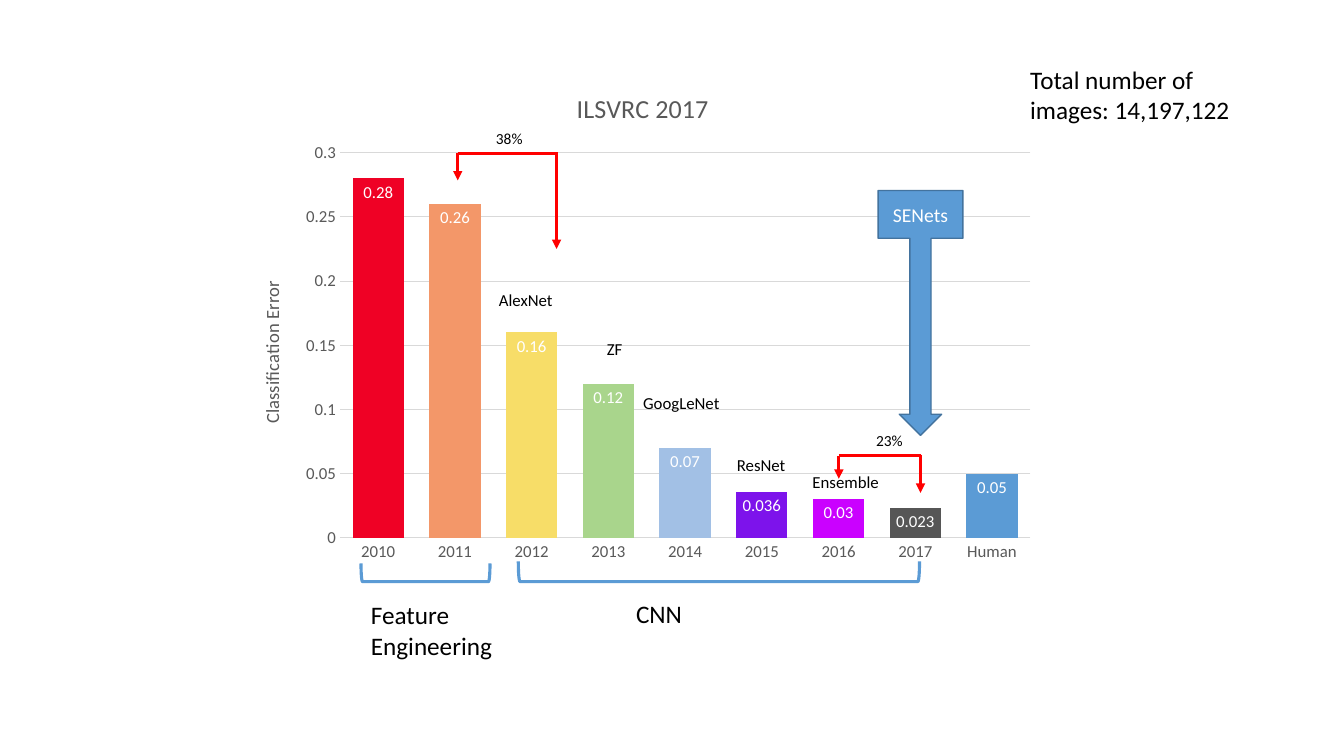
from lxml.etree import SubElement
from pptx import Presentation
from pptx.chart.data import CategoryChartData
from pptx.dml.color import RGBColor
from pptx.enum.chart import XL_CHART_TYPE, XL_LABEL_POSITION, XL_TICK_MARK
from pptx.enum.shapes import MSO_CONNECTOR, MSO_SHAPE
from pptx.enum.text import MSO_ANCHOR, PP_ALIGN
from pptx.oxml import parse_xml
from pptx.oxml.ns import nsdecls, qn
from pptx.util import Pt

PX = 9144
BLUE, GREY, GRID, RED = "5B9BD5", "595959", "D9D9D9", "FF0000"


def color(value):
    return RGBColor.from_string(value)


def add_run(paragraph, text, size, fill):
    run = paragraph.add_run()
    run.text = text
    run.font.name = "Calibri"
    run.font.size = Pt(size)
    run.font.bold = False
    run.font.color.rgb = color(fill)


presentation = Presentation()
presentation.slide_width = 1333 * PX
presentation.slide_height = 750 * PX
slide = presentation.slides.add_slide(presentation.slide_layouts[6])

bars = [
    ("2010", 0.28, "EF0125"),
    ("2011", 0.26, "F39769"),
    ("2012", 0.16, "F7DD68"),
    ("2013", 0.12, "A9D58C"),
    ("2014", 0.07, "A2C0E5"),
    ("2015", 0.036, "7D13EB"),
    ("2016", 0.03, "CA01FF"),
    ("2017", 0.023, "565656"),
    ("Human", 0.05, BLUE),
]
chart_data = CategoryChartData()
chart_data.categories = [year for year, error, fill in bars]
chart_data.add_series("Series 1", [error for year, error, fill in bars])
chart = slide.shapes.add_chart(
    XL_CHART_TYPE.COLUMN_CLUSTERED, 237 * PX, 70 * PX, 801 * PX, 498 * PX, chart_data
).chart
chart.has_legend = False
chart.font.name = "Calibri"
chart.font.size = Pt(12)
chart.font.color.rgb = color(GREY)
chart.has_title = True
add_run(chart.chart_title.text_frame.paragraphs[0], "ILSVRC 2017", 18.6, GREY)

category_axis, value_axis = chart.category_axis, chart.value_axis
for axis in (category_axis, value_axis):
    axis.major_tick_mark = axis.minor_tick_mark = XL_TICK_MARK.NONE
category_axis.format.line.color.rgb = color(GRID)
category_axis.format.line.width = Pt(0.75)
value_axis.minimum_scale = 0
value_axis.maximum_scale = 0.3
value_axis.major_unit = 0.05
value_axis.format.line.fill.background()
value_axis.major_gridlines.format.line.color.rgb = color(GRID)
value_axis.major_gridlines.format.line.width = Pt(0.75)
value_axis.has_title = True
add_run(value_axis.axis_title.text_frame.paragraphs[0], "Classification Error", 13.3, GREY)

plot = chart.plots[0]
plot.gap_width = 50
plot.overlap = -27
plot.vary_by_categories = False
series = plot.series[0]
series.format.fill.solid()
series.format.fill.fore_color.rgb = color(BLUE)
for index, (year, error, fill) in enumerate(bars):
    point_fill = series.points[index].format.fill
    point_fill.solid()
    point_fill.fore_color.rgb = color(fill)
labels = series.data_labels
labels.show_value = True
labels.position = XL_LABEL_POSITION.INSIDE_END
labels.font.name = "Calibri"
labels.font.size = Pt(12)
labels.font.color.rgb = color("FFFFFF")

plot_area = chart.element.find(".//" + qn("c:plotArea"))
for layout in plot_area.findall(qn("c:layout")):
    plot_area.remove(layout)
plot_area.insert(0, parse_xml(
    f'<c:layout {nsdecls("c")}><c:manualLayout><c:layoutTarget val="inner"/>'
    '<c:xMode val="edge"/><c:yMode val="edge"/><c:x val="0.125"/><c:y val="0.164"/>'
    '<c:w val="0.855"/><c:h val="0.767"/></c:manualLayout></c:layout>'
))

for left, top, width, height in [(413, 504, 18, 128), (703, 368, 20, 398)]:
    bracket = slide.shapes.add_shape(
        MSO_SHAPE.RIGHT_BRACKET, left * PX, top * PX, width * PX, height * PX
    )
    bracket.rotation = 90
    bracket.shadow.inherit = False
    bracket.fill.background()
    bracket.line.color.rgb = color(BLUE)
    bracket.line.width = Pt(2.25)

callout = slide.shapes.add_shape(
    MSO_SHAPE.DOWN_ARROW_CALLOUT, 871 * PX, 189 * PX, 84 * PX, 243 * PX
)
for index, adjustment in enumerate([0.25, 0.25, 0.25, 0.195]):
    callout.adjustments[index] = adjustment
callout.shadow.inherit = False
callout.fill.solid()
callout.fill.fore_color.rgb = color(BLUE)
callout.line.color.rgb = color("43739E")
callout.line.width = Pt(1)
callout.text_frame.vertical_anchor = MSO_ANCHOR.MIDDLE
callout_paragraph = callout.text_frame.paragraphs[0]
callout_paragraph.alignment = PP_ALIGN.CENTER
add_run(callout_paragraph, "SENets", 14, "FFFFFF")

for left, right, top, left_end, right_end in [
    (454, 552, 152, 179, 247),
    (832, 913, 452, 475, 489),
]:
    for start_x, start_y, end_x, end_y, has_arrow in [
        (left, top, right, top, False),
        (right, top - 1, right, right_end, True),
        (left, top, left, left_end, True),
    ]:
        connector = slide.shapes.add_connector(
            MSO_CONNECTOR.STRAIGHT, start_x * PX, start_y * PX, end_x * PX, end_y * PX
        )
        connector.line.color.rgb = color(RED)
        connector.line.width = Pt(2.25)
        if has_arrow:
            SubElement(connector.line._get_or_add_ln(), qn("a:tailEnd"), type="triangle")
        SubElement(connector._element.spPr, qn("a:effectLst"))

for text, left, top, width, height, size in [
    ("CNN", 621, 589, 145, 40, 18),
    ("Feature Engineering", 358, 590, 145, 71, 18),
    ("38%", 482, 123, 68, 29, 11),
    ("23%", 859, 423, 68, 29, 11),
    ("AlexNet", 485, 283, 90, 30, 12),
    ("ZF", 592, 331, 90, 30, 12),
    ("GoogLeNet", 628, 385, 102, 30, 12),
    ("ResNet", 721, 446, 102, 30, 12),
    ("Ensemble", 796, 463, 128, 30, 12),
    ("Total number of images: 14,197,122", 1012, 59, 224, 71, 18),
]:
    text_box = slide.shapes.add_textbox(left * PX, top * PX, width * PX, height * PX)
    text_box.text_frame.word_wrap = True
    add_run(text_box.text_frame.paragraphs[0], text, size, "000000")

presentation.save("out.pptx")
